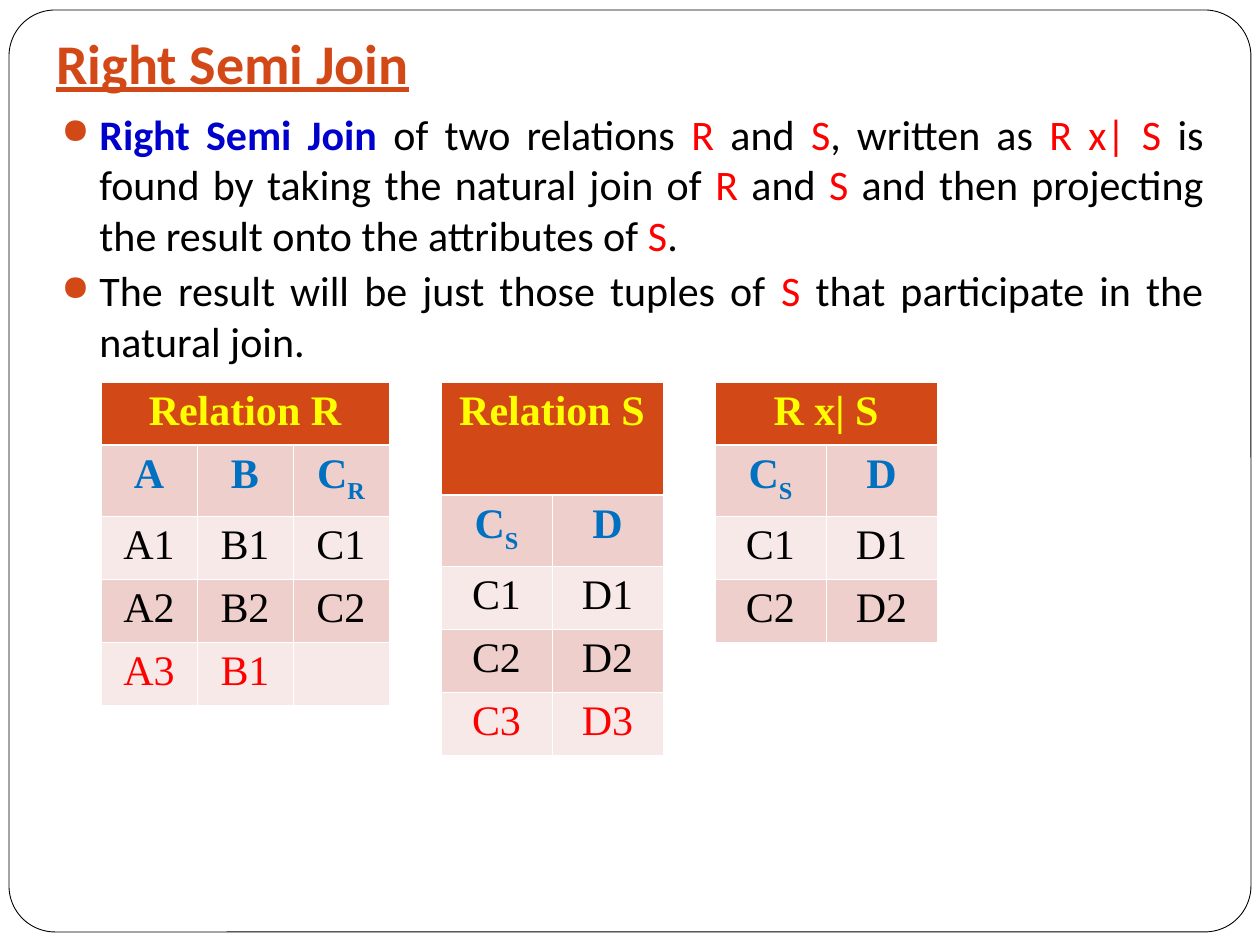
from dataclasses import dataclass

from lxml import etree
from pptx import Presentation, util as u
from pptx.dml.color import RGBColor
from pptx.enum import shapes, text
from pptx.oxml import ns


@dataclass(frozen=True)
class Theme:
    accent: str = "D34817"
    white: str = "FFFFFF"
    black: str = "000000"
    red: str = "FF0000"
    term: str = "0000CC"
    yellow: str = "FFFF00"
    blue: str = "0070C0"
    dark: str = "EFCFCC"
    light: str = "F7E9E7"
    sans: str = "Calibri"
    serif: str = "Times New Roman"
    title: int = 32
    body: int = 24


T = Theme()
SUB = -25000


def px(n):
    return u.Emu(round(n * 914400 / 126))


def rgb(code):
    return RGBColor.from_string(code)


def add_xml(parent, tag, **attrs):
    return etree.SubElement(parent, ns.qn(tag), attrs)


def add_run(par, words, color, face=T.sans, size=T.body, bold=False, line=False, base=0):
    run = par.add_run()
    run.text = words
    font = run.font
    font.name, font.size, font.bold = face, u.Pt(size), bold
    font.color.rgb = rgb(color)
    if line:
        font.underline = True
    if base:
        run._r.get_or_add_rPr().set("baseline", str(base))


def add_frame(slide, box):
    kind = shapes.MSO_SHAPE.ROUNDED_RECTANGLE
    frame = slide.shapes.add_shape(kind, *map(px, box))
    frame.adjustments[0] = 0.05
    frame.shadow.inherit = False
    frame.fill.solid()
    frame.fill.fore_color.rgb = rgb(T.white)
    frame.line.color.rgb = rgb(T.black)
    frame.line.width = u.Pt(0.5)


def add_title(slide, box, words):
    body = slide.shapes.add_textbox(*map(px, box)).text_frame
    body.word_wrap = True
    body.vertical_anchor = text.MSO_ANCHOR.BOTTOM
    body.margin_bottom = u.Inches(0.1)
    add_run(body.paragraphs[0], words, T.accent, size=T.title, bold=True, line=True)


def add_bullet(par):
    props = par._p.get_or_add_pPr()
    indent = px(38)
    props.set("marL", str(indent))
    props.set("indent", str(-indent))
    add_xml(add_xml(props, "a:buClr"), "a:srgbClr", val=T.accent)
    add_xml(props, "a:buSzPct", val="85000")
    add_xml(props, "a:buChar", char="●")


def add_points(slide, box, points):
    body = slide.shapes.add_textbox(*map(px, box)).text_frame
    body.word_wrap = True
    for i, runs in enumerate(points):
        par = body.add_paragraph() if i else body.paragraphs[0]
        add_bullet(par)
        par.alignment = text.PP_ALIGN.JUSTIFY
        par.space_after = u.Pt(3)
        for words, color in runs:
            add_run(par, words, color, bold=color == T.term)


def style_cell(cell, fill, top, bottom):
    """Set white borders, then the fill, which must follow them."""
    props = cell._tc.get_or_add_tcPr()
    for side, width in (("L", 0.45), ("R", 0.45), ("T", top), ("B", bottom)):
        edge = add_xml(props, "a:ln" + side, w=str(u.Pt(width)))
        add_xml(add_xml(edge, "a:solidFill"), "a:srgbClr", val=T.white)
    cell.fill.solid()
    cell.fill.fore_color.rgb = rgb(fill)


def add_relation(slide, box, name, heads, rows, lost=False):
    """Draw a relation; heads are (letter, subscript), lost marks the last row."""
    left, top, wide, first = box
    highs = [first, 71] + [63] * len(rows)
    count = len(heads)
    grid = slide.shapes.add_table(
        len(highs), count, px(left), px(top), px(wide), px(sum(highs))).table
    for col in grid.columns:
        col.width = px(wide / count)
    for r, high in enumerate(highs):
        grid.rows[r].height = px(high)
        fill = T.accent if r == 0 else T.dark if r % 2 else T.light
        for c in range(count):
            style_cell(grid.cell(r, c), fill,
                       1.5 if r == 1 else 0.45, 1.5 if r == 0 else 0.45)
    grid.cell(0, 0).merge(grid.cell(0, count - 1))

    def write(r, c, words, color, bold=False, sub=""):
        par = grid.cell(r, c).text_frame.paragraphs[0]
        par.alignment = text.PP_ALIGN.CENTER
        if words:
            add_run(par, words, color, T.serif, bold=bold)
        if sub:
            add_run(par, sub, color, T.serif, bold=bold, base=SUB)

    write(0, 0, name, T.yellow, True)
    for c, (letter, sub) in enumerate(heads):
        write(1, c, letter, T.blue, True, sub)
    for r, row in enumerate(rows, 2):
        color = T.red if lost and r == len(highs) - 1 else T.black
        for c, words in enumerate(row):
            write(r, c, words, color)


def main():
    deck = Presentation()
    deck.slide_width, deck.slide_height = px(1260), px(945)
    slide = deck.slides.add_slide(deck.slide_layouts[6])
    add_frame(slide, (9, 10, 1242, 922))
    add_title(slide, (44, 35, 1081, 73), "Right Semi Join")
    add_points(slide, (49, 102, 1167, 598), [
        [("Right Semi Join", T.term), (" of two relations ", T.black),
         ("R", T.red), (" and ", T.black), ("S", T.red),
         (", written as ", T.black), ("R x| S ", T.red),
         ("is found by taking the natural join of ", T.black),
         ("R", T.red), (" and ", T.black), ("S", T.red),
         (" and then projecting the result onto the attributes of ", T.black),
         ("S", T.red), (". ", T.black)],
        [("The result will be just those tuples of ", T.black), ("S", T.red),
         (" that participate in the natural join.", T.black)],
    ])
    heads = [("C", "S"), ("D", "")]
    pairs = [("C1", "D1"), ("C2", "D2")]
    top = 382
    add_relation(slide, (101, top, 288, 63), "Relation R",
                 [("A", ""), ("B", ""), ("C", "R")],
                 [("A1", "B1", "C1"), ("A2", "B2", "C2"), ("A3", "B1", "")], True)
    add_relation(slide, (441, top, 222, 113), "Relation S",
                 heads, pairs + [("C3", "D3")], True)
    add_relation(slide, (715, top, 222, 63), "R x| S", heads, pairs)
    deck.save("out.pptx")


if __name__ == "__main__":
    main()
